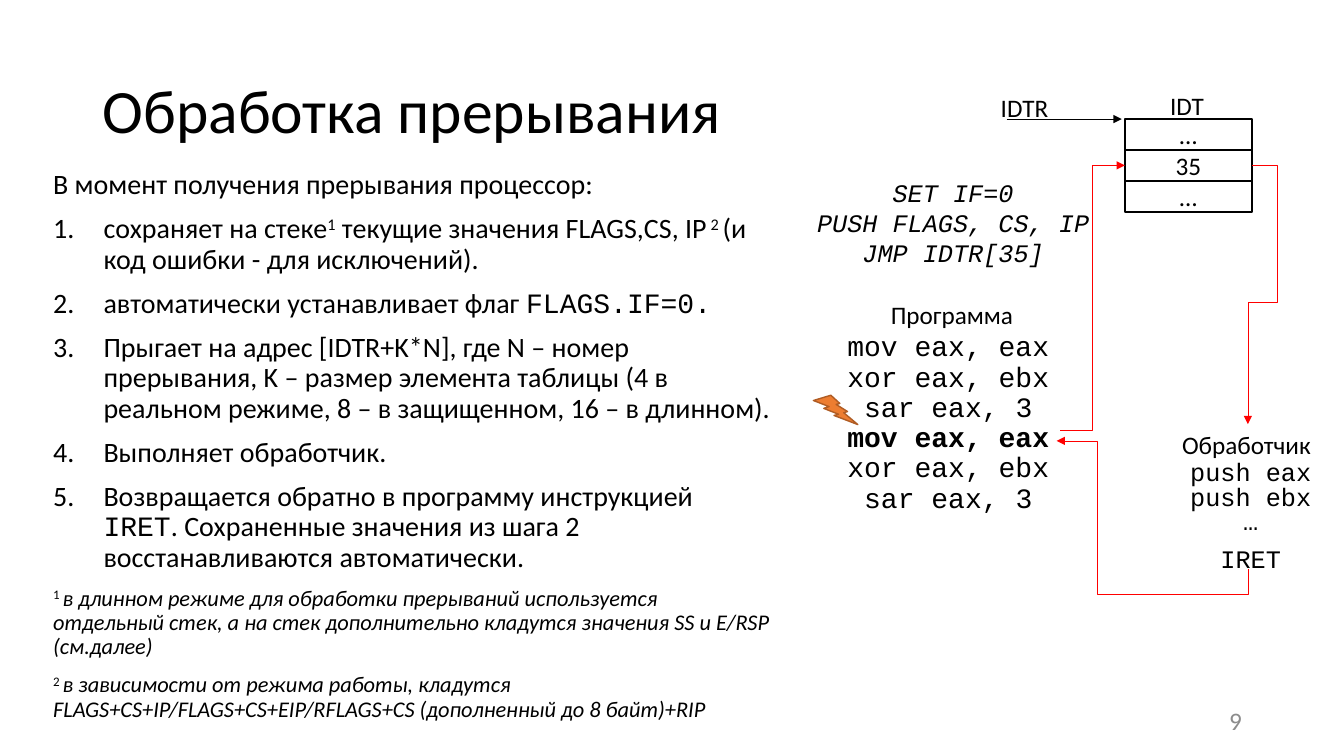
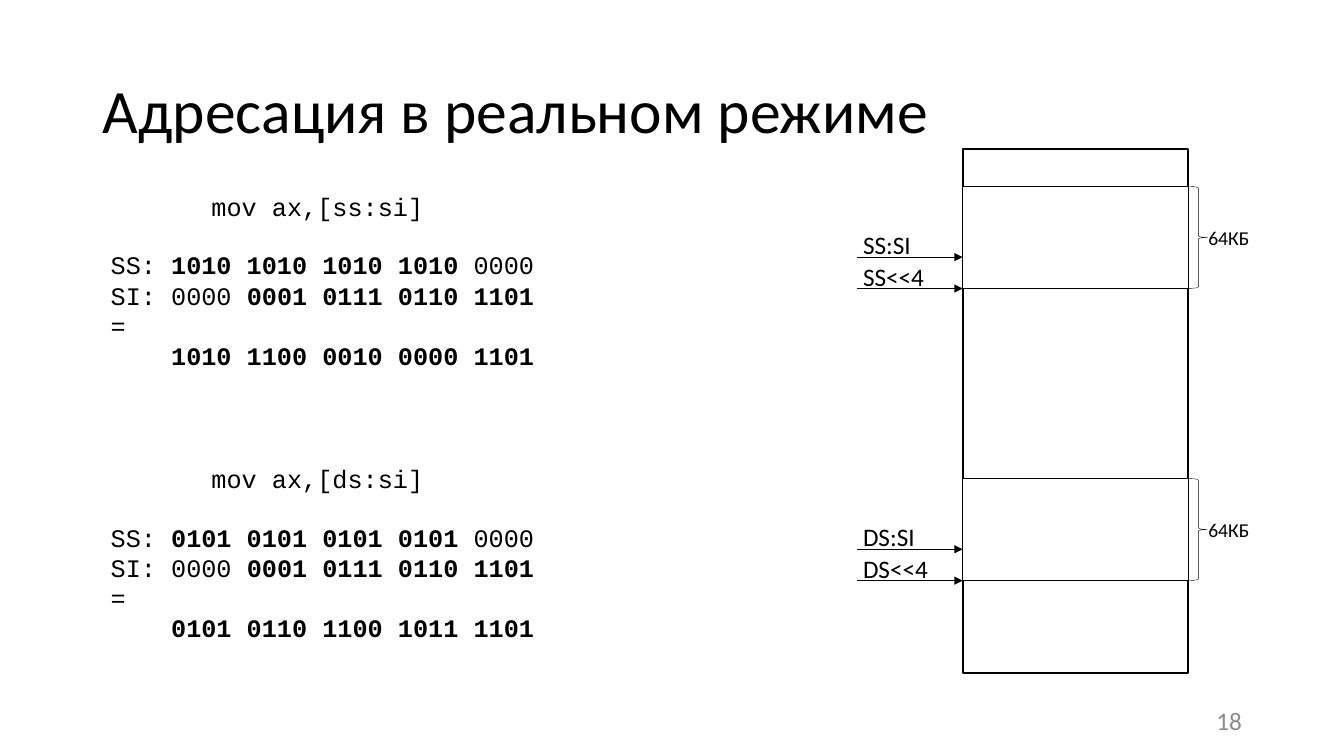
from lxml.etree import SubElement
from pptx import Presentation
from pptx.dml.color import RGBColor
from pptx.enum.shapes import MSO_CONNECTOR as CONNECTOR, MSO_SHAPE as SHAPE
from pptx.enum.text import MSO_ANCHOR as ANCHOR, PP_ALIGN as ALIGN
from pptx.oxml.ns import qn
from pptx.util import Cm, Pt

# Shared style
rgb = RGBColor.from_string
BLACK, WHITE, RED, GREY = "000000", "FFFFFF", "FF0000", "8C8C8C"
ORANGE, BROWN = "ED7D31", "AF5C24"
SANS, MONO = "Calibri", "Courier New"


def add_text(slide, box, lines, size=18, font=SANS, color=BLACK, align=ALIGN.LEFT,
             anchor=ANCHOR.TOP, spacing=1.0, before=0, wrap=True):
    """Add a text box; '|' separates runs. Return its paragraphs."""
    frame = slide.shapes.add_textbox(*map(Cm, box)).text_frame
    frame.word_wrap = wrap
    frame.vertical_anchor = anchor
    for index, line in enumerate(lines):
        paragraph = frame.add_paragraph() if index else frame.paragraphs[0]
        first, *others = line.split("|")
        paragraph.text = first
        for piece in others:
            paragraph.add_run().text = piece
        paragraph.alignment = align
        paragraph.line_spacing = spacing
        paragraph.space_before = Pt(before if index else 0)
        for run in paragraph.runs:
            run.font.size = Pt(size)
            run.font.name = font
            run.font.color.rgb = rgb(color)
    return frame.paragraphs


def add_arrow(slide, start, end, color=BLACK, kind=CONNECTOR.STRAIGHT, bends=()):
    """Add an arrow; two bends (fractions of width and height) give four segments."""
    arrow = slide.shapes.add_connector(kind, *map(Cm, start + end))
    arrow.line.color.rgb = rgb(color)
    arrow.line.width = Pt(0.5)
    properties = arrow._element.spPr
    SubElement(properties.find(qn("a:ln")), qn("a:tailEnd"), type="triangle")
    SubElement(properties, qn("a:effectLst"))
    if bends:
        geometry = properties.find(qn("a:prstGeom"))
        geometry.set("prst", "bentConnector4")
        for number, bend in enumerate(bends, 1):
            SubElement(geometry.find(qn("a:avLst")), qn("a:gd"),
                       name=f"adj{number}", fmla=f"val {round(bend * 100000)}")
    return arrow


presentation = Presentation()
presentation.slide_width, presentation.slide_height = Cm(33.87), Cm(19.05)

# Titles and page numbers
slides = []
for title, title_width, number in (("Обработка прерывания", 19.25, "9"),
                                   ("Адресация в реальном режиме", 29.21, "18")):
    slide = presentation.slides.add_slide(presentation.slide_layouts[6])
    add_text(slide, (2.34, 1.02, title_width, 3.68), [title], 44,
             anchor=ANCHOR.MIDDLE, spacing=0.9)
    add_text(slide, (23.93, 17.65, 7.62, 1.02), [number], color=GREY,
             align=ALIGN.RIGHT, anchor=ANCHOR.MIDDLE)
    slides.append(slide)
interrupt_slide, address_slide = slides

# Interrupt: steps and footnotes
steps = add_text(interrupt_slide, (1.09, 4.17, 18.59, 14.25), [
    "В момент получения прерывания процессор:",
    "сохраняет на стеке|1| текущие значения FLAGS,CS, IP| 2 |(и код ошибки - для исключений).",
    "автоматически устанавливает флаг |FLAGS.IF=0.",
    "Прыгает на адрес [IDTR+K*N], где N – номер прерывания, K – размер элемента таблицы "
    "(4 в реальном режиме, 8 – в защищенном, 16 – в длинном).",
    "Выполняет обработчик.",
    "Возвращается обратно в программу инструкцией |IRET|. Сохраненные значения из шага 2 "
    "восстанавливаются автоматически.",
    "1 |в длинном режиме для обработки прерываний используется отдельный стек, "
    "а на стек дополнительно кладутся значения SS и E/RSP (см.далее)",
    "2 |в зависимости от режима работы, кладутся FLAGS+CS+IP/FLAGS+CS+EIP/RFLAGS+CS "
    "(дополненный до 8 байт)+RIP",
], 20, spacing=0.9, before=10)
for paragraph in steps[1:6]:
    numbering = paragraph._p.get_or_add_pPr()
    numbering.set("marL", str(Cm(1.27)))
    numbering.set("indent", str(-Cm(1.27)))
    SubElement(numbering, qn("a:buAutoNum"), type="arabicPeriod")
for paragraph in steps[6:]:
    for run in paragraph.runs:
        run.font.size = Pt(16)
    paragraph.runs[1].font.italic = True
for paragraph_index, run_index in ((1, 1), (1, 3), (6, 0), (7, 0)):
    steps[paragraph_index].runs[run_index].font._element.set("baseline", "30000")
for paragraph_index in (2, 5):
    steps[paragraph_index].runs[1].font.name = MONO

# Interrupt: program and handler code
program = add_text(interrupt_slide, (21.08, 8.26, 5.64, 5.18), [
    "mov eax, eax\vxor eax, ebx\vsar eax, 3\vmov eax, eax\vxor eax, ebx\vsar eax, 3",
], 20, MONO, align=ALIGN.CENTER, spacing=0.9)
program[0].runs[3].font.bold = True
add_text(interrupt_slide, (29.2, 11.53, 4.64, 3.25), ["push eax\vpush ebx\v…", "IRET"],
         font=MONO, align=ALIGN.CENTER, spacing=0.8, before=10)
entry_code = add_text(interrupt_slide, (19.89, 4.34, 8.26, 2.57),
                      ["SET IF=0", "PUSH FLAGS, CS, IP", "JMP IDTR[35]"],
                      font=MONO, align=ALIGN.CENTER)
for paragraph in entry_code:
    paragraph.runs[0].font.italic = True

# Interrupt: labels
for label, left, top, width in (("Обработчик", 29.54, 10.69, 3.81),
                                ("Программа", 22.2, 7.42, 3.63),
                                ("IDT", 29.24, 2.16, 1.4),
                                ("IDTR", 24.97, 2.21, 1.73)):
    add_text(interrupt_slide, (left, top, width, 1.02), [label], wrap=False)

# Interrupt: descriptor table
TABLE_LEFT, TABLE_TOP, CELL_WIDTH, CELL_HEIGHT = 28.35, 3, 3.2, 0.78
cells = []
for row, entry in enumerate(("…", "35", "…")):
    cell = interrupt_slide.shapes.add_shape(
        SHAPE.RECTANGLE, Cm(TABLE_LEFT), Cm(TABLE_TOP + row * CELL_HEIGHT),
        Cm(CELL_WIDTH), Cm(CELL_HEIGHT))
    cell.shadow.inherit = False
    cell.fill.background()
    cell.line.color.rgb = rgb(BLACK)
    cell.line.width = Pt(1.5)
    cell.text_frame.text = entry
    cell.text_frame.vertical_anchor = ANCHOR.MIDDLE
    paragraph = cell.text_frame.paragraphs[0]
    paragraph.alignment = ALIGN.CENTER
    paragraph.font.size = Pt(18)
    paragraph.font.name = SANS
    paragraph.font.color.rgb = rgb(BLACK)
    cells.append(cell)

# Interrupt: lightning bolt
bolt = interrupt_slide.shapes.add_shape(SHAPE.LIGHTNING_BOLT, Cm(20.5), Cm(9.96), Cm(1.12), Cm(0.74))
bolt.shadow.inherit = False
bolt.fill.solid()
bolt.fill.fore_color.rgb = rgb(ORANGE)
bolt.line.color.rgb = rgb(BROWN)
bolt.line.width = Pt(1)

# Interrupt: control flow from program to table, to handler and back
add_arrow(interrupt_slide, (25.37, TABLE_TOP), (28.27, TABLE_TOP))
to_table = add_arrow(interrupt_slide, (26.72, 10.85), (28.35, 4.17), RED, CONNECTOR.ELBOW)
to_table.end_connect(cells[1], 1)
add_arrow(interrupt_slide, (31.55, 4.17), (31.45, 10.69), RED, CONNECTOR.ELBOW, (-6.3, 0.53))
to_program = add_arrow(interrupt_slide, (30.66, 10.31), (27.43, 15.14), RED,
                       CONNECTOR.ELBOW, (-0.2, 0.79))
to_program._element.spPr.find(qn("a:xfrm")).set("rot", str(90 * 60000))

# Addressing: memory, its segments and their braces
MEMORY_LEFT, MEMORY_WIDTH, SEGMENT_HEIGHT = 24.26, 5.69, 2.57
SEGMENT_TOPS = (4.7, 12.06)
outlines = [(SHAPE.RECTANGLE, MEMORY_LEFT, 3.76, MEMORY_WIDTH, 13.21, 1.5)]
for top in SEGMENT_TOPS:
    outlines += [(SHAPE.RECTANGLE, MEMORY_LEFT, top, MEMORY_WIDTH, SEGMENT_HEIGHT, 1),
                 (SHAPE.RIGHT_BRACE, 29.97, top, 0.46, SEGMENT_HEIGHT, 0.25)]
for kind, left, top, width, height, line_width in outlines:
    shape = address_slide.shapes.add_shape(kind, Cm(left), Cm(top), Cm(width), Cm(height))
    shape.shadow.inherit = False
    if kind == SHAPE.RECTANGLE:
        shape.fill.solid()
        shape.fill.fore_color.rgb = rgb(WHITE)
    else:
        shape.fill.background()
    shape.line.color.rgb = rgb(BLACK)
    shape.line.width = Pt(line_width)

# Addressing: example code, pointers and segment sizes
POINTER_LEFT = 21.6
examples = (("ss", 4.7, "1010 1010 1010 1010 ", "1010 1100 0010 0000 1101"),
            ("ds", 11.56, "0101 0101 0101 0101 ", "0101 0110 1100 1011 1101"))
for (register, code_top, base, address), top in zip(examples, SEGMENT_TOPS):
    add_text(address_slide, (5.08, code_top, 6.35, 1.02), [f"mov ax,[{register}:si]"], font=MONO)
    sums = add_text(address_slide, (2.54, code_top + 1.47, 11.23, 3.33), [
        f"SS: |{base}|0000",
        "SI: 0000 |0001 0111 0110 1101",
        "=",
        f"    |{address}",
    ], font=MONO, wrap=False)
    for line in (0, 1, 3):
        sums[line].runs[1].font.bold = True

    name = register.upper()
    for label, offset in ((f"{name}:SI", 1.78), (f"{name}<<4", SEGMENT_HEIGHT)):
        pointer_top = top + offset
        add_arrow(address_slide, (POINTER_LEFT, pointer_top), (MEMORY_LEFT, pointer_top))
        add_text(address_slide, (POINTER_LEFT - 0.1, pointer_top - 0.82, 2.6, 1.02), [label])
    add_text(address_slide, (30.2, top + 0.86, 1.7, 0.86), ["64КБ"], 14)

presentation.save("out.pptx")
